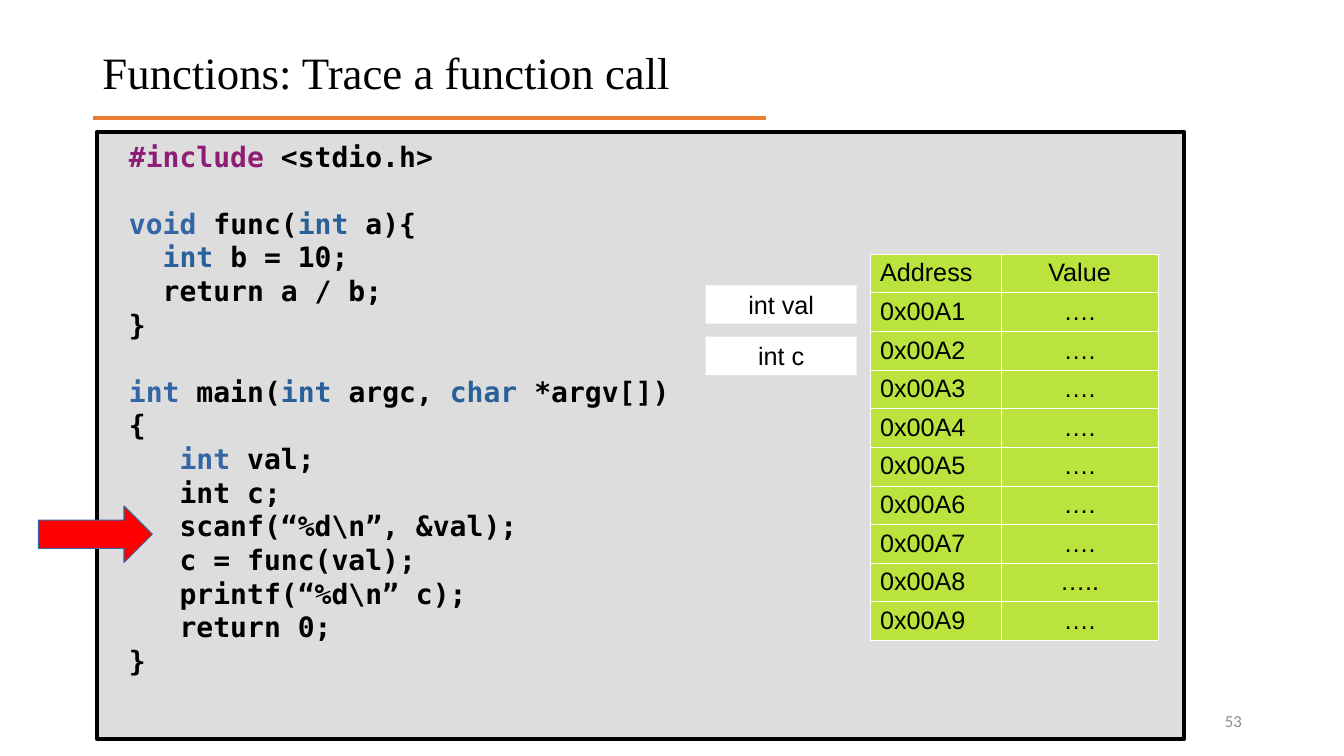
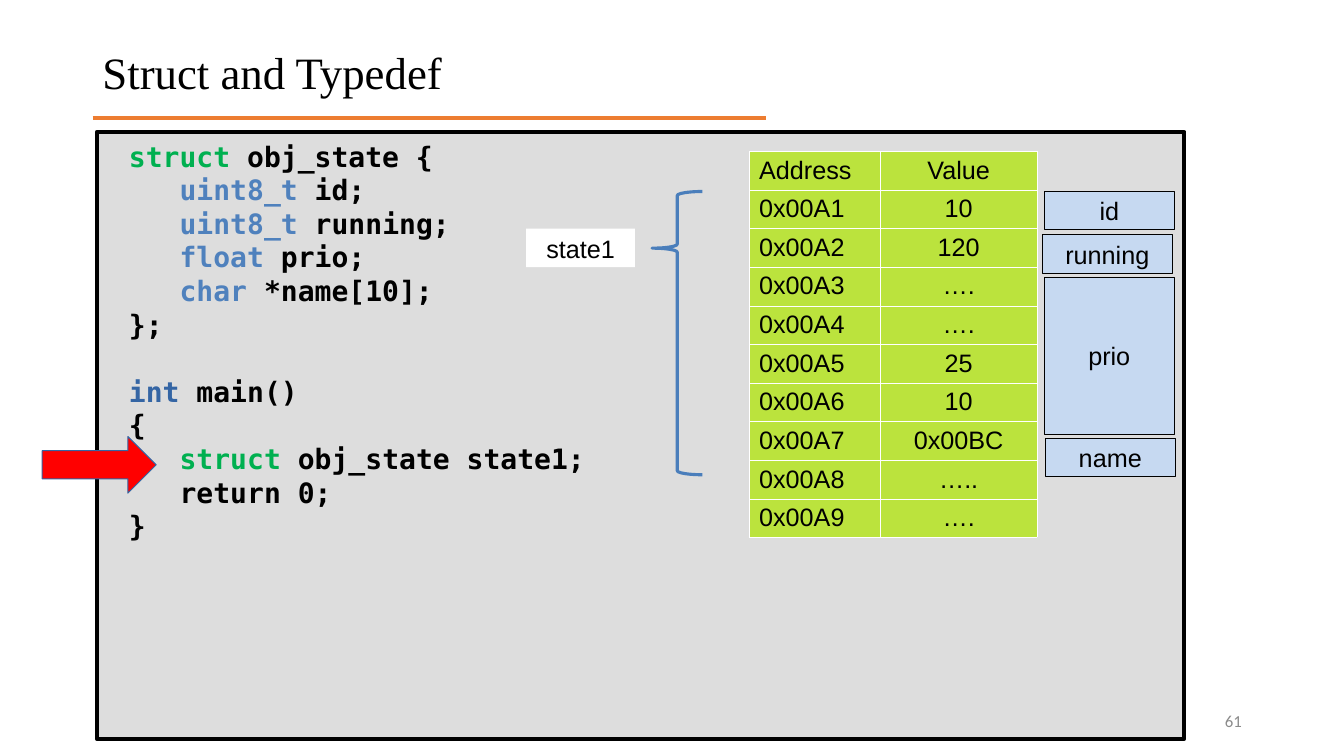
"""Build two slides that trace C code beside a table of memory cells."""
from lxml import etree
from pptx import Presentation
from pptx.dml.color import RGBColor
from pptx.enum.shapes import MSO_CONNECTOR, MSO_SHAPE
from pptx.enum.text import MSO_ANCHOR, PP_ALIGN
from pptx.oxml.ns import qn
from pptx.util import Pt

LEFT, CENTER, RIGHT = PP_ALIGN.LEFT, PP_ALIGN.CENTER, PP_ALIGN.RIGHT
TOP, MIDDLE = MSO_ANCHOR.TOP, MSO_ANCHOR.MIDDLE
RECTANGLE, ARROW, BRACE = MSO_SHAPE.RECTANGLE, MSO_SHAPE.RIGHT_ARROW, MSO_SHAPE.LEFT_BRACE
STRAIGHT = MSO_CONNECTOR.STRAIGHT
TITLE_ONLY = 5

rgb = RGBColor.from_string
BLACK, WHITE, GRAY, PANEL = "000000", "FFFFFF", "8B8B8B", "DDDDDD"
ORANGE, RED, LIME, PALE_BLUE = "ED7D31", "FF0000", "BBE33D", "C6D9F1"
PURPLE, GREEN = "8D1D75", "00B050"
TYPE_BLUE, DEEP_BLUE, FIELD_BLUE, BRACE_BLUE = "3465A4", "2A6099", "4F81BD", "4A7EBB"
ROW_HEIGHT = 27.6
LABEL_HEIGHT = 27.4
COLUMN_WIDTHS = (93.6, 112.3)

SLIDES = [
    {
        "title": "Functions: Trace a function call",
        "number": "53",
        "code": [
            [("#include", PURPLE), (" <stdio.h>", BLACK)],
            [],
            [("void", TYPE_BLUE), (" func(", BLACK), ("int", DEEP_BLUE), (" a){", BLACK)],
            [("  int ", DEEP_BLUE), ("b = 10;", BLACK)],
            [("  return a / b;", BLACK)],
            [("}", BLACK)],
            [],
            [("int", TYPE_BLUE), (" main(", BLACK), ("int", DEEP_BLUE), (" argc, ", BLACK),
             ("char", DEEP_BLUE), (" *argv[])", BLACK)],
            [("{", BLACK)],
            [("   int", TYPE_BLUE), (" val;", BLACK)],
            [("   int c;", BLACK)],
            [("   scanf(“%d\\n”, &val);", BLACK)],
            [("   c = func(val);", BLACK)],
            [("   printf(“%d\\n” c);", BLACK)],
            [("   return 0;", BLACK)],
            [("}", BLACK)],
        ],
        "memory_at": (621.4, 181.4),
        "values": ["….", "….", "….", "….", "….", "….", "….", "…..", "…."],
        "arrow_at": (27.4, 361.4),
        "brace": None,
        "variables": [
            ("int val", 504, 203.8, 108),
            ("int c", 504, 240.5, 108),
        ],
        "fields": [],
    },
    {
        "title": "Struct and Typedef",
        "number": "61",
        "code": [
            [("struct ", GREEN), ("obj_state {", BLACK)],
            [("   uint8_t", FIELD_BLUE), (" id;", BLACK)],
            [("   uint8_t", FIELD_BLUE), (" running;", BLACK)],
            [("   float", FIELD_BLUE), (" prio;", BLACK)],
            [("   char", FIELD_BLUE), (" *name[10];", BLACK)],
            [("};", BLACK)],
            [],
            [("int", TYPE_BLUE), (" main()", BLACK)],
            [("{", BLACK)],
            [("   struct ", GREEN), ("obj_state state1;", BLACK)],
            [("   return 0;", BLACK)],
            [("}", BLACK)],
        ],
        "memory_at": (535, 108),
        "values": ["10", "120", "….", "….", "25", "10", "0x00BC", "…..", "…."],
        "arrow_at": (30.2, 311.8),
        "brace": (465.8, 136.8, 36, 202.3),
        "variables": [("state1", 375.8, 163.4, 77.8)],
        "fields": [
            ("running", 744.5, 167.8, LABEL_HEIGHT),
            ("id", 745.9, 136.8, LABEL_HEIGHT),
            ("prio", 745.9, 198, 112.3),
            ("name", 746.6, 313.2, LABEL_HEIGHT),
        ],
    },
]


def write(paragraph, text, size, font, color=BLACK, align=LEFT):
    """Fill a paragraph with text in one style."""
    paragraph.text = text
    paragraph.alignment = align
    paragraph.font.size = Pt(size)
    paragraph.font.name = font
    paragraph.font.color.rgb = rgb(color)


def add_block(slide, preset, box, fill=None, line=None, weight=0, label=None):
    """Add a flat preset shape, with a centred label if one is given."""
    block = slide.shapes.add_shape(preset, *map(Pt, box))
    block.shadow.inherit = False
    if fill:
        block.fill.solid()
        block.fill.fore_color.rgb = rgb(fill)
    else:
        block.fill.background()
    if line:
        block.line.color.rgb = rgb(line)
        block.line.width = Pt(weight)
    else:
        block.line.fill.background()
    if label:
        block.text_frame.vertical_anchor = MIDDLE
        write(block.text_frame.paragraphs[0], label, 18, "Arial", align=CENTER)
    return block


prs = Presentation()
prs.slide_width, prs.slide_height = Pt(960), Pt(540)

for content in SLIDES:
    slide = prs.slides.add_slide(prs.slide_layouts[TITLE_ONLY])

    title = slide.shapes.title
    title.left, title.top, title.width, title.height = map(Pt, (66, 1.5, 828, 104.4))
    title.text_frame.vertical_anchor = MIDDLE
    heading = title.text_frame.paragraphs[0]
    write(heading, content["title"], 32, "Times New Roman")
    heading.line_spacing = 0.9

    underline = slide.shapes.add_connector(STRAIGHT, Pt(66.2), Pt(84.4), Pt(547.2), Pt(84.4))
    underline.line.color.rgb = rgb(ORANGE)
    underline.line.width = Pt(3)
    etree.SubElement(underline._element.spPr, qn("a:effectLst"))

    panel = add_block(slide, RECTANGLE, (69.1, 94.3, 776.9, 433.4), PANEL, BLACK, 2.89)
    listing = panel.text_frame
    listing.vertical_anchor = TOP
    listing.margin_left = listing.margin_right = Pt(8.6)
    listing.margin_top = listing.margin_bottom = Pt(5)
    for index, tokens in enumerate(content["code"]):
        code_line = listing.add_paragraph() if index else listing.paragraphs[0]
        code_line.alignment = LEFT
        code_line._p.get_or_add_pPr().set("marL", str(Pt(14.4)))
        code_line.font.size = Pt(20)
        code_line.font.name = "DejaVu Sans Mono"
        code_line.font.bold = True
        for text, color in tokens:
            token = code_line.add_run()
            token.text = text
            token.font.color.rgb = rgb(color)

    rows = [("Address", "Value")]
    rows += [(f"0x00A{number}", value) for number, value in enumerate(content["values"], 1)]
    memory_size = (sum(COLUMN_WIDTHS), ROW_HEIGHT * len(rows))
    memory = slide.shapes.add_table(
        len(rows), len(COLUMN_WIDTHS), *map(Pt, content["memory_at"] + memory_size)).table
    memory.first_row = memory.horz_banding = False
    for column, width in zip(memory.columns, COLUMN_WIDTHS):
        column.width = Pt(width)
    for row_index, row in enumerate(rows):
        memory.rows[row_index].height = Pt(ROW_HEIGHT)
        for column_index, (text, align) in enumerate(zip(row, (LEFT, CENTER))):
            cell = memory.cell(row_index, column_index)
            properties = cell._tc.get_or_add_tcPr()
            for side in ("a:lnL", "a:lnR", "a:lnT", "a:lnB"):
                border = etree.SubElement(properties, qn(side), w=str(Pt(0.06)))
                border_fill = etree.SubElement(border, qn("a:solidFill"))
                etree.SubElement(border_fill, qn("a:srgbClr"), val=WHITE)
            cell.fill.solid()
            cell.fill.fore_color.rgb = rgb(LIME)
            write(cell.text_frame.paragraphs[0], text, 18, "Arial", align=align)

    for name, left, top, width in content["variables"]:
        add_block(slide, RECTANGLE, (left, top, width, LABEL_HEIGHT), WHITE, label=name)
    add_block(slide, ARROW, content["arrow_at"] + (81.4, 40.4), RED, TYPE_BLUE)
    if content["brace"]:
        brace = add_block(slide, BRACE, content["brace"], line=BRACE_BLUE, weight=2.25)
        brace.adjustments[0], brace.adjustments[1] = 0.08, 0.2
    for name, left, top, height in content["fields"]:
        add_block(slide, RECTANGLE, (left, top, 92.9, height), PALE_BLUE, BLACK, label=name)

    page = slide.shapes.add_textbox(*map(Pt, (678.2, 500.4, 216, 28.8))).text_frame
    page.word_wrap = True
    page.vertical_anchor = MIDDLE
    write(page.paragraphs[0], content["number"], 12, "Calibri", GRAY, RIGHT)

prs.save("out.pptx")
